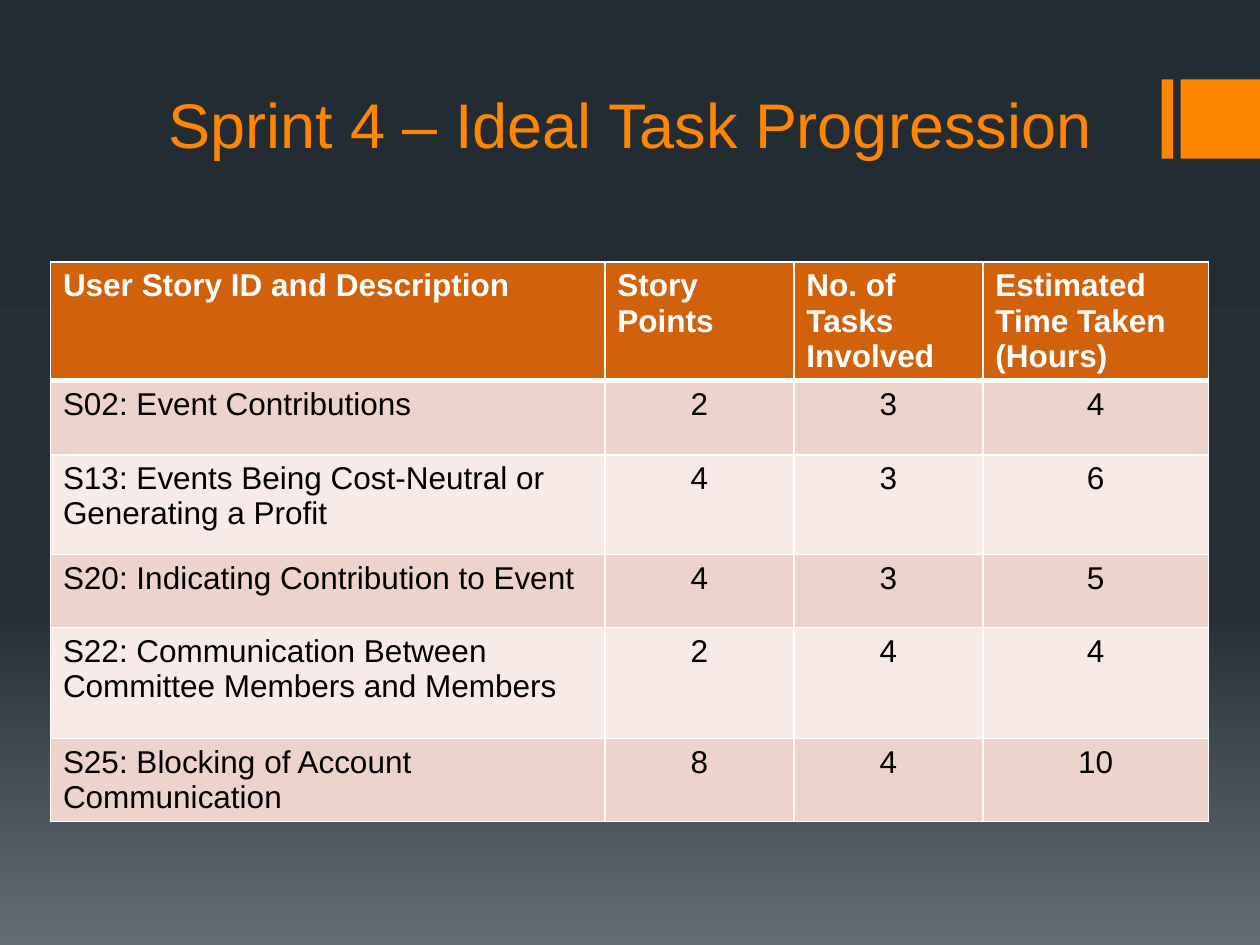
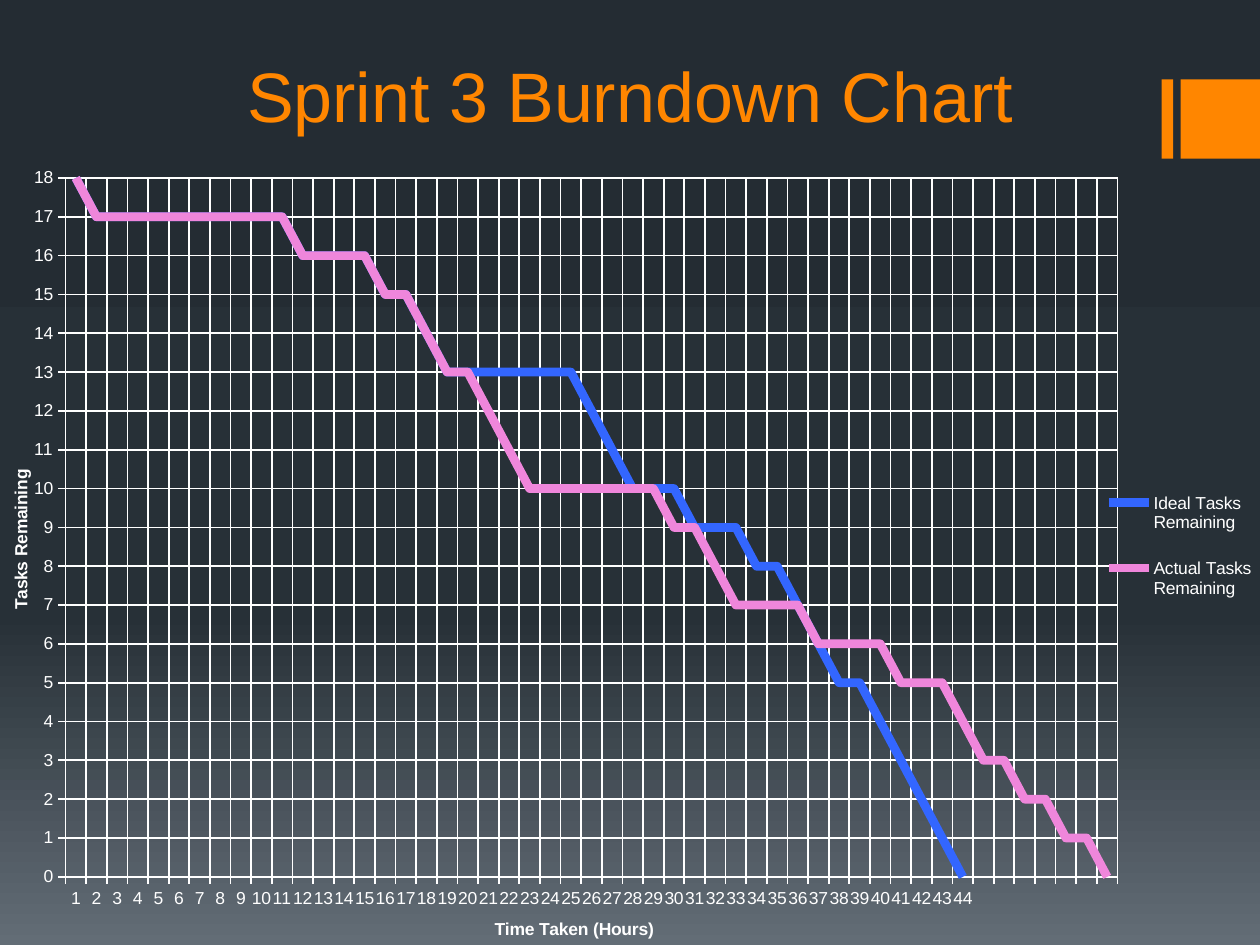
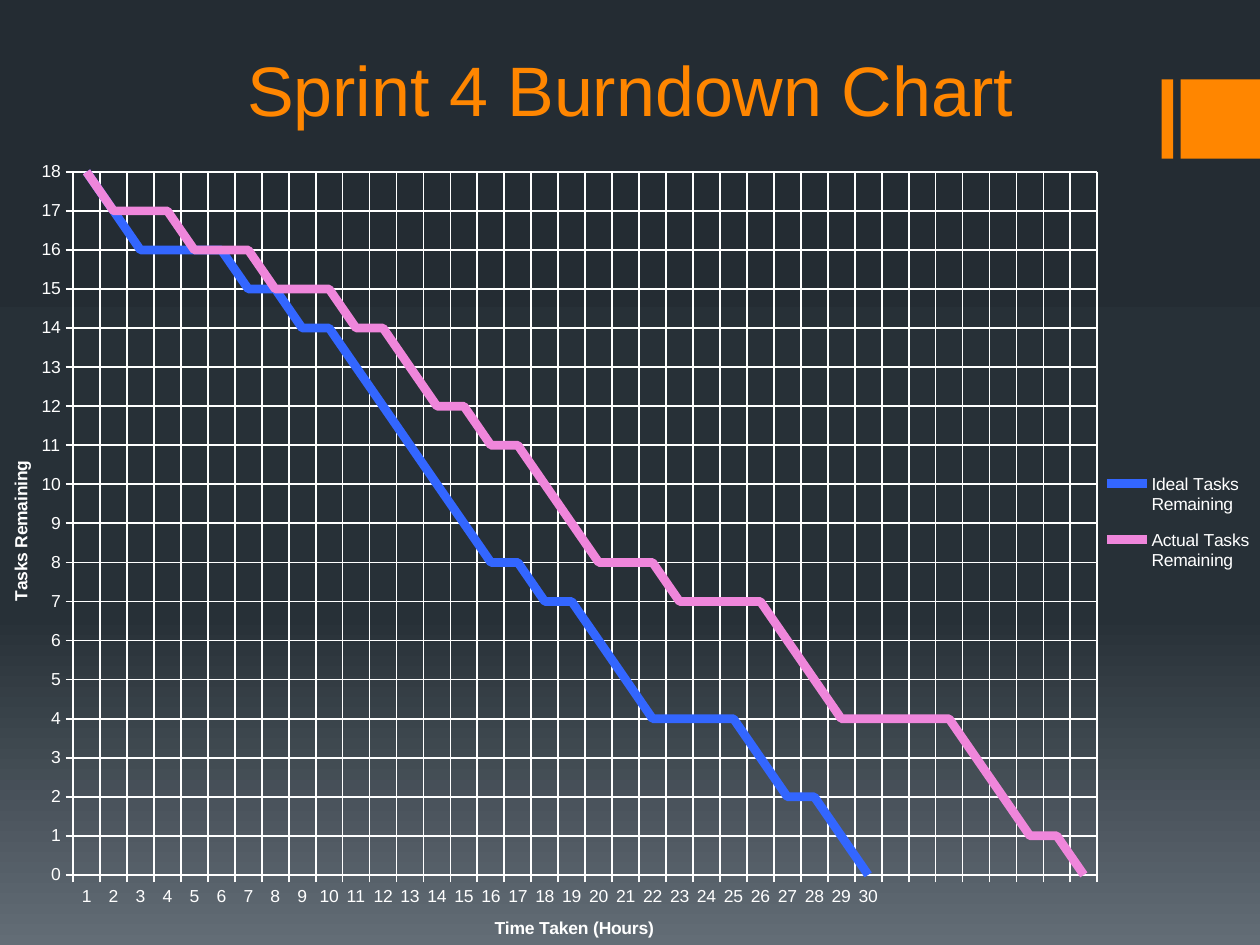
from pptx import Presentation
from pptx.chart.data import CategoryChartData
from pptx.dml.color import RGBColor
from pptx.enum.chart import XL_CHART_TYPE, XL_LEGEND_POSITION, XL_TICK_MARK
from pptx.enum.shapes import MSO_SHAPE
from pptx.enum.text import MSO_ANCHOR, MSO_AUTO_SIZE, PP_ALIGN
from pptx.oxml import parse_xml
from pptx.oxml.ns import nsdecls, qn
from pptx.util import Inches, Pt

FONT = "Arial"
COLORS = {
    "accent": "FF8600", "header": "D2610C", "odd": "EED2CC", "even": "F7EAE7",
    "white": "FFFFFF", "black": "000000", "ideal": "3366FF", "actual": "EF86DB",
}
GRADIENT = [(0, "242C33"), (65, "273037"), (100, "636D76")]
BANDS = [(9.22, 0.63, 0.09, 0.63), (9.37, 0.63, 0.63, 0.63)]

HEADS = ["User Story ID and Description", "Story Points",
         "No. of Tasks Involved", "Estimated Time Taken (Hours)"]
STORIES = [
    ("S02: Event Contributions", 2, 3, 4),
    ("S13: Events Being Cost-Neutral or Generating a Profit", 4, 3, 6),
    ("S20: Indicating Contribution to Event", 4, 3, 5),
    ("S22: Communication Between Committee Members and Members", 2, 4, 4),
    ("S25: Blocking of Account Communication", 8, 4, 10),
]
COLS = [4.4, 1.5, 1.5, 1.79]
ROWS = [0.88, 0.59, 0.79, 0.58, 0.88, 0.51]

SPRINTS = [
    {
        "title": "Sprint 3 Burndown Chart", "top": 0.32,
        "box": (0, 1.2, 10, 6.3),
        "plot": (0.052, 0.034, 0.835, 0.885),
        "legend": (0.88, 0.4, 0.12, 0.2),
        "ideal": [18] + [17] * 10 + [16] * 4 + [15, 15, 14] + [13] * 7
        + [12, 11, 10, 10, 10, 9, 9, 9, 8, 8, 7, 6, 5, 5, 4, 3, 2, 1, 0],
        "actual": [18] + [17] * 10 + [16] * 4 + [15, 15, 14, 13, 13, 12, 11]
        + [10] * 7 + [9, 9, 8] + [7] * 4 + [6] * 4
        + [5, 5, 5, 4, 3, 3, 2, 2, 1, 1, 0],
    },
    {
        "title": "Sprint 4 Burndown Chart", "top": 0.28,
        "box": (0, 1.09, 10, 6.4),
        "plot": (0.058, 0.043, 0.813, 0.876),
        "legend": (0.875, 0.4, 0.12, 0.16),
        "ideal": [18, 17, 16, 16, 16, 16, 15, 15, 14, 14, 13, 12, 11, 10, 9,
                  8, 8, 7, 7, 6, 5, 4, 4, 4, 4, 3, 2, 2, 1, 0],
        "actual": [18, 17, 17, 17, 16, 16, 16, 15, 15, 15, 14, 14, 13, 12, 12,
                   11, 11, 10, 9, 8, 8, 8, 7, 7, 7, 7, 6, 5, 4, 4, 4, 4, 4,
                   3, 2, 1, 1, 0],
    },
]


def color(name):
    return RGBColor.from_string(COLORS[name])


def inches(box):
    return [Inches(n) for n in box]


def style(font, size, tint, bold=False):
    for key, value in {"name": FONT, "size": Pt(size), "bold": bold}.items():
        setattr(font, key, value)
    font.color.rgb = color(tint)


def stroke(line, tint, width):
    line.color.rgb = color(tint)
    line.width = Pt(width)


def set_theme(deck, layout):
    """Put the gradient on the master and the bands on the layout."""
    master = deck.slide_master
    master.background.fill.gradient()
    old = master.element.find(".//" + qn("p:bgPr")).find(qn("a:gradFill"))
    stops = "".join(
        f'<a:gs pos="{pos * 1000}"><a:srgbClr val="{tint}"/></a:gs>'
        for pos, tint in GRADIENT)
    new = parse_xml(
        f'<a:gradFill {nsdecls("a")} rotWithShape="1"><a:gsLst>{stops}</a:gsLst>'
        '<a:lin ang="5400000" scaled="0"/></a:gradFill>')
    old.getparent().replace(old, new)


def add_bands(slide):
    """Draw the bands, then hand them to the layout so all slides share them."""
    tree = slide.slide_layout.element.find(".//" + qn("p:spTree"))
    for num, box in enumerate(BANDS, 20):
        band = slide.shapes.add_shape(MSO_SHAPE.RECTANGLE, *inches(box))
        band.shadow.inherit = False
        band.fill.solid()
        band.fill.fore_color.rgb = color("accent")
        band.line.fill.background()
        band.element.find(".//" + qn("p:cNvPr")).set("id", str(num))
        tree.append(band.element)


def add_slide(deck, layout, text, top, size):
    slide = deck.slides.add_slide(layout)
    title = slide.shapes.title
    spot = zip(("left", "top", "width", "height"), inches((1, top, 8, 0.81)))
    for key, value in spot:
        setattr(title, key, value)
    frame = title.text_frame
    frame.text = text
    form = {"vertical_anchor": MSO_ANCHOR.BOTTOM, "word_wrap": True,
            "auto_size": MSO_AUTO_SIZE.NONE}
    for key, value in form.items():
        setattr(frame, key, value)
    line = frame.paragraphs[0]
    line.alignment = PP_ALIGN.CENTER
    style(line.runs[0].font, size, "accent")
    return slide


def set_edges(cell, base):
    """Give a cell white borders; base is the width of the bottom one."""
    props = cell._tc.get_or_add_tcPr()
    for num, (side, width) in enumerate(
            {"L": 1, "R": 1, "T": 1, "B": base}.items()):
        props.insert(num, parse_xml(
            f'<a:ln{side} {nsdecls("a")} w="{Pt(width)}"><a:solidFill>'
            f'<a:srgbClr val="{COLORS["white"]}"/></a:solidFill></a:ln{side}>'))


def add_stories(slide, box):
    data = [HEADS, *STORIES]
    table = slide.shapes.add_table(len(data), len(HEADS), *inches(box)).table
    for col, width in zip(table.columns, COLS):
        col.width = Inches(width)
    for row, height in zip(table.rows, ROWS):
        row.height = Inches(height)
    for r, row in enumerate(data):
        head = r == 0
        fill = "header" if head else "odd" if r % 2 else "even"
        for c, value in enumerate(row):
            cell = table.cell(r, c)
            cell.text = str(value)
            cell.fill.solid()
            cell.fill.fore_color.rgb = color(fill)
            line = cell.text_frame.paragraphs[0]
            if c and not head:
                line.alignment = PP_ALIGN.CENTER
            style(line.runs[0].font, 18, "white" if head else "black", head)
            # The edge under the header is shared with the first story row.
            set_edges(cell, 3 if head else 1)
            if r == 1:
                cell._tc.tcPr.find(qn("a:lnT")).set("w", str(Pt(3)))


def place(part, spot, after=None, inner=False):
    """Fix a chart part at fractions of the chart: x, y and maybe w, h."""
    for old in part.findall(qn("c:layout")):
        part.remove(old)
    tags = '<c:layoutTarget val="inner"/>' if inner else ""
    tags += '<c:xMode val="edge"/><c:yMode val="edge"/>'
    tags += "".join(f'<c:{key} val="{n}"/>' for key, n in zip("xywh", spot))
    layout = parse_xml(f'<c:layout {nsdecls("c")}><c:manualLayout>{tags}'
                       '</c:manualLayout></c:layout>')
    if after:
        part.find(qn(after)).addnext(layout)
    else:
        part.insert(0, layout)


def set_axis(axis, text, spot):
    form = {"has_major_gridlines": True, "has_title": True,
            "major_tick_mark": XL_TICK_MARK.OUTSIDE,
            "minor_tick_mark": XL_TICK_MARK.NONE}
    for key, value in form.items():
        setattr(axis, key, value)
    for line in (axis.format.line, axis.major_gridlines.format.line):
        stroke(line, "white", 1)
    style(axis.tick_labels.font, 10, "white")
    frame = axis.axis_title.text_frame
    frame.text = text
    style(frame.paragraphs[0].runs[0].font, 10, "white", True)
    place(axis.axis_title.element, spot, "c:tx")


def show_labels(axis):
    """Keep every category label, level and unskipped."""
    part = axis.element if hasattr(axis, "element") else axis._element
    part.find(qn("c:txPr")).find(qn("a:bodyPr")).set("rot", "0")
    skip = parse_xml(f'<c:tickLblSkip {nsdecls("c")} val="1"/>')
    part.find(qn("c:noMultiLvlLbl")).addprevious(skip)


def add_burndown(slide, sprint):
    ideal, actual = sprint["ideal"], sprint["actual"]
    gap = len(actual) - len(ideal)
    data = CategoryChartData()
    data.categories = [str(n + 1) for n in range(len(ideal))] + [""] * gap
    data.add_series("Ideal Tasks Remaining", ideal + [None] * gap)
    data.add_series("Actual Tasks Remaining", actual)
    chart = slide.shapes.add_chart(
        XL_CHART_TYPE.LINE, *inches(sprint["box"]), data).chart
    chart.has_title = False
    style(chart.font, 10, "white")
    chart.plots[0].vary_by_categories = False
    for row, tint in zip(chart.plots[0].series, ("ideal", "actual")):
        row.smooth = False
        stroke(row.format.line, tint, 5)

    set_axis(chart.category_axis, "Time Taken (Hours)", (0.39, 0.967))
    set_axis(chart.value_axis, "Tasks Remaining", (0.005, 0.4))
    show_labels(chart.category_axis)
    scale = {"minimum_scale": 0, "maximum_scale": 18, "major_unit": 1}
    for key, value in scale.items():
        setattr(chart.value_axis, key, value)

    chart.has_legend = True
    chart.legend.position = XL_LEGEND_POSITION.RIGHT
    chart.legend.include_in_layout = False
    style(chart.legend.font, 10, "white")
    space = chart.element
    area = space.find(".//" + qn("c:plotArea"))
    place(space.find(".//" + qn("c:legend")), sprint["legend"], "c:legendPos")
    place(area, sprint["plot"], inner=True)
    clear = (f'<c:spPr {nsdecls("c", "a")}><a:noFill/>'
             '<a:ln><a:noFill/></a:ln></c:spPr>')
    area.append(parse_xml(clear))
    space.find(qn("c:txPr")).addprevious(parse_xml(clear))


def main():
    deck = Presentation()
    deck.slide_width, deck.slide_height = Inches(10), Inches(7.5)
    layout = deck.slide_layouts[5]
    set_theme(deck, layout)
    slide = add_slide(deck, layout, "Sprint 4 – Ideal Task Progression", 0.52, 36)
    add_bands(slide)
    add_stories(slide, (0.4, 2.08, 9.19, 4.23))
    for sprint in SPRINTS:
        slide = add_slide(deck, layout, sprint["title"], sprint["top"], 40)
        add_burndown(slide, sprint)
    deck.save("out.pptx")


if __name__ == "__main__":
    main()
